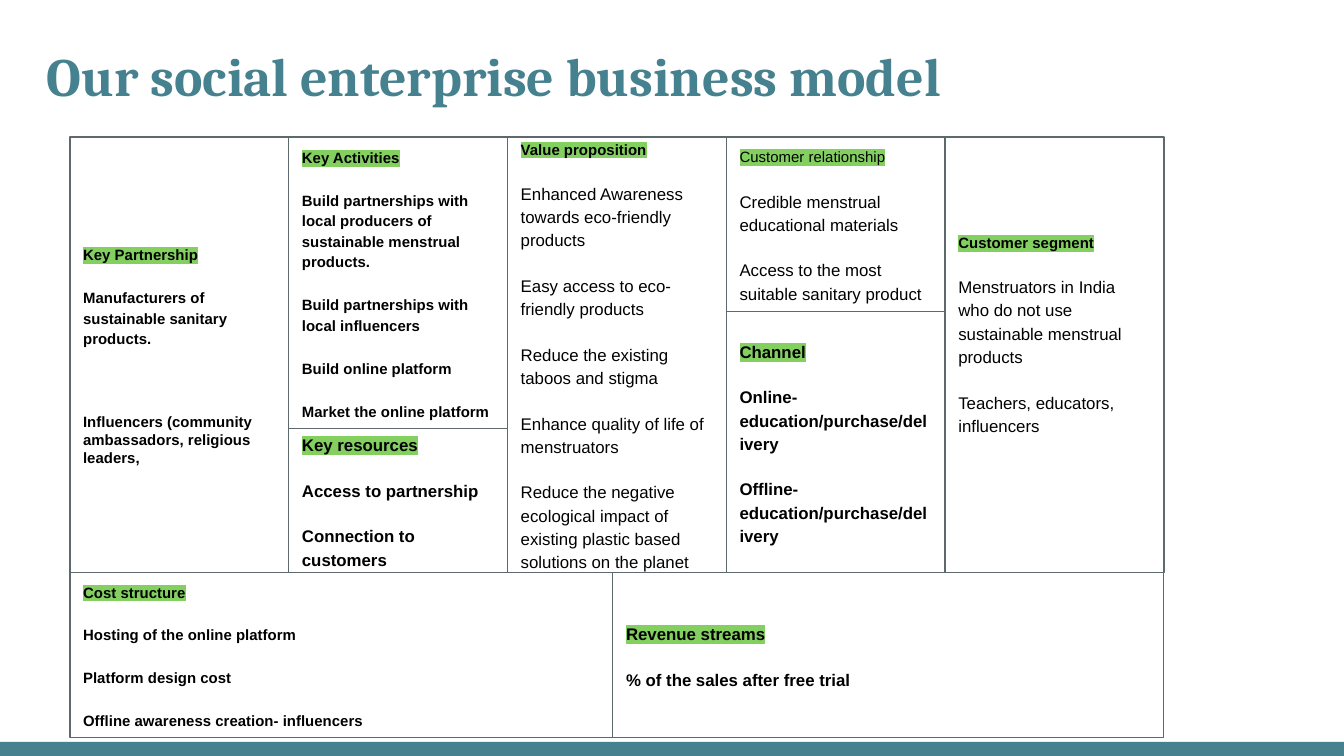
import pptx
import pptx.dml.color
import pptx.enum.shapes
import pptx.enum.text
import pptx.oxml.ns
import pptx.util
from lxml import etree

Inches = pptx.util.Inches
Pt = pptx.util.Pt
ANCHOR = pptx.enum.text.MSO_ANCHOR
RECTANGLE = pptx.enum.shapes.MSO_SHAPE.RECTANGLE
qn = pptx.oxml.ns.qn

COLOURS = {
    "teal": "45818E",
    "border": "5E696C",
    "highlight": "83D061",
    "paper": "FFFFFF",
    "ink": "000000",
}
FRAME = {
    "word_wrap": True,
    "margin_left": Inches(0.1),
    "margin_right": Inches(0.11),
    "margin_top": Inches(0.1),
    "margin_bottom": Inches(0.1),
}
SPACED = {"line_spacing": 1.15, "space_before": Pt(12)}


def colour(name):
    return pptx.dml.color.RGBColor.from_string(COLOURS[name])


def apply(target, values):
    for key, value in values.items():
        setattr(target, key, value)


def add_text(paragraph, words, font, ink):
    run = paragraph.add_run()
    run.text = words
    apply(run.font, font)
    run.font.color.rgb = colour(ink)
    return run


def highlight(run):
    properties = run.font._element
    marker = etree.Element(qn("a:highlight"))
    etree.SubElement(marker, qn("a:srgbClr"), val=COLOURS["highlight"])
    properties.find(qn("a:solidFill")).addnext(marker)


def add_panel(slide, box, fill):
    panel = slide.shapes.add_shape(RECTANGLE, *map(Inches, box))
    panel.shadow.inherit = False
    panel.fill.solid()
    panel.fill.fore_color.rgb = colour(fill)
    return panel


def add_title(slide, box):
    title = slide.shapes.add_textbox(*map(Inches, box))
    apply(title.text_frame, FRAME)
    font = {"name": "Cambria", "size": Pt(28.8), "bold": True}
    add_text(title.text_frame.paragraphs[0],
             "Our social enterprise business model", font, "teal")


def add_footer(slide, box):
    add_panel(slide, box, "teal").line.fill.background()


def add_block(slide, box, heading, entries, heading_size=8, size=8,
              heading_bold=True, bold=True, frame={}, last={}):
    block = add_panel(slide, box, "paper")
    block.line.color.rgb = colour("border")
    block.line.width = Pt(0.75)
    text = block.text_frame
    apply(text, {**FRAME, "vertical_anchor": ANCHOR.MIDDLE, **frame})
    for index, words in enumerate([heading, *entries]):
        paragraph = text.add_paragraph() if index else text.paragraphs[0]
        apply(paragraph, {**SPACED, "alignment": pptx.enum.text.PP_ALIGN.LEFT})
        font = {
            "name": "Arial",
            "size": Pt(size if index else heading_size),
            "bold": bold if index else heading_bold,
        }
        run = add_text(paragraph, words, font, "ink")
        if not index:
            highlight(run)
    apply(text.paragraphs[-1], last)


def add_canvas(slide, box):
    left, top, width, height = box
    column = width / 5
    upper = 3.24
    activities = 2.17
    relationship = 1.3
    cost = 4.04

    def cell(index, offset=0, depth=upper):
        return left + index * column, top + offset, column, depth

    add_block(slide, cell(0), "Key Partnership", [
        "Manufacturers of sustainable sanitary products.",
        "Influencers (community ambassadors, religious leaders,",
    ], last={"space_before": Pt(35), "line_spacing": 1.0})
    add_block(slide, cell(1, depth=activities), "Key Activities", [
        "Build partnerships with local producers of sustainable menstrual products.",
        "Build partnerships with local influencers",
        "Build online platform",
        "Market the online platform",
    ])
    add_block(slide, cell(2), "Value proposition", [
        "Enhanced Awareness towards eco-friendly products",
        "Easy access to eco-friendly products",
        "Reduce the existing taboos and stigma",
        "Enhance quality of life of menstruators",
        "Reduce the negative ecological impact of existing plastic based "
        "solutions on the planet",
    ], size=9, bold=False, last={"space_after": Pt(12)})
    add_block(slide, cell(3, depth=relationship), "Customer relationship", [
        "Credible menstrual educational materials",
        "Access to the most suitable sanitary product",
    ], size=9, heading_bold=False, bold=False)
    add_block(slide, cell(3, relationship, upper - relationship), "Channel", [
        "Online- education/purchase/delivery",
        "Offline- education/purchase/delivery",
    ], heading_size=9, size=9)
    add_block(slide, cell(1, activities, upper - activities), "Key resources", [
        "Access to partnership",
        "Connection to customers",
    ], heading_size=9, size=9)
    add_block(slide, (left, top + upper, cost, height - upper), "Cost structure", [
        "Hosting of the online platform",
        "Platform design cost",
        "Offline awareness creation- influencers",
    ])
    add_block(slide, (left + cost, top + upper, width - cost, height - upper),
              "Revenue streams", ["% of the sales after free trial"],
              heading_size=9, size=9)
    add_block(slide, cell(4), "Customer segment", [
        "Menstruators in India who do not use sustainable menstrual products",
        "Teachers, educators, influencers",
    ], size=9, bold=False, frame={"margin_bottom": Inches(0.42)})


def main():
    deck = pptx.Presentation()
    deck.slide_width = Inches(10)
    deck.slide_height = Inches(10 * 9 / 16)
    slide = deck.slides.add_slide(deck.slide_layouts[6])
    add_footer(slide, (0, 5.52, 10, 0.11))
    add_title(slide, (0.25, 0.22, 9.32, 0.68))
    add_canvas(slide, (0.52, 1.02, 8.14, 4.47))
    deck.save("out.pptx")


if __name__ == "__main__":
    main()
